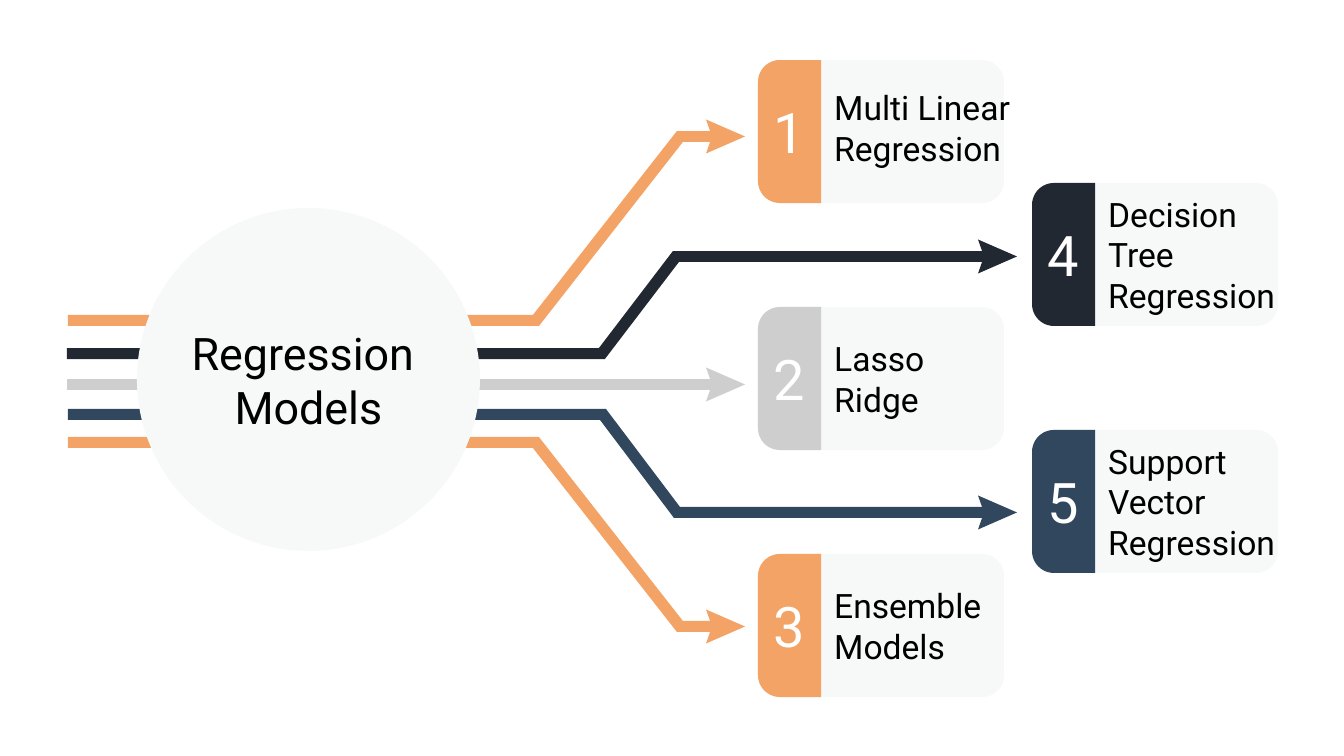
import math
from pptx import Presentation
from pptx import util as u
from pptx.dml.color import RGBColor
from pptx.enum import shapes as s, text as t

SCALE = 914400 / 134.4
HUES = {"pale": "F7F9F9", "orange": "F2A365", "gray": "CECECE",
        "dark": "222831", "navy": "30475E", "black": "000000", "white": "FFFFFF"}
THICK, SKEW = 11, 3
CARD, TAB, ROUND = (246, 143), 63, 22

BANDS = [
    ("gray", 67, 379, 718, None),
    ("orange", 68, 315, 718, (536, 680, 131)),
    ("dark", 67, 348, 990, (602, 676, 251)),
    ("navy", 68, 409, 990, (603, 677, 507)),
    ("orange", 68, 437, 718, (536, 680, 621)),
]
CARDS = [
    ("1", "orange", "Multi Linear Regression", 239, -4),
    ("4", "dark", "Decision Tree Regression", 210, 0),
    ("2", "gray", "Lasso\vRidge", 210, 0),
    ("5", "navy", "Support Vector Regression", 210, 0),
    ("3", "orange", "Ensemble Models", 195, 0),
]


def px(n):
    return u.Emu(round(n * SCALE))


def tint(name):
    return RGBColor.from_string(HUES[name])


def paint(shape, hue):
    shape.shadow.inherit = False
    shape.fill.solid()
    shape.fill.fore_color.rgb = tint(hue)
    shape.line.fill.background()
    return shape


def outline(slide, points, hue):
    spots = [(px(x), px(y)) for x, y in points]
    pen = slide.shapes.build_freeform(*spots[0], scale=1.0)
    pen.add_line_segments(spots[1:], close=True)
    return paint(pen.convert_to_shape(), hue)


def write(shape, lines, size, hue, align, wrap=True):
    frame = shape.text_frame
    inset = u.Inches(0.1)
    look = {"word_wrap": wrap, "vertical_anchor": t.MSO_ANCHOR.MIDDLE,
            "margin_left": inset, "margin_right": inset,
            "margin_top": inset, "margin_bottom": inset}
    for key, val in look.items():
        setattr(frame, key, val)
    frame.text = "\n".join(lines)
    for para in frame.paragraphs:
        para.alignment = align
        for run in para.runs:
            for key, val in {"name": "Roboto", "size": u.Pt(size)}.items():
                setattr(run.font, key, val)
            run.font.color.rgb = tint(hue)


def add_band(slide, hue, left, top, end, bend):
    upper, lower, level = [(left, top)], [(left, top + THICK)], top
    if bend:
        near, far, level = bend
        lean = SKEW if level < top else -SKEW
        for x, y in ((near, top), (far, level)):
            upper.append((x - lean, y))
            lower.append((x + lean, y + THICK))
    upper.append((end, level))
    lower.append((end, level + THICK))
    outline(slide, upper + lower[::-1], hue)
    tail, mid = end - 12, level + THICK / 2
    head = [(tail, mid - 17), (tail + 6, mid), (tail, mid + 17), (tail + 39, mid)]
    outline(slide, head, hue)


def add_hub(slide, left, top, size):
    hub = slide.shapes.add_shape(s.MSO_SHAPE.OVAL, px(left), px(top), px(size), px(size))
    paint(hub, "pale")
    write(hub, ["Regression ", "Models"], 24, "black", t.PP_ALIGN.CENTER, False)


def arc(x, y, start):
    turns = [math.radians(start + 90 * i / 12) for i in range(13)]
    return [(x + ROUND * math.cos(a), y + ROUND * math.sin(a)) for a in turns]


def add_card(slide, left, top, num, hue, label, width, shift):
    wide, high = CARD
    base = slide.shapes.add_shape(s.MSO_SHAPE.ROUNDED_RECTANGLE,
                                  px(left), px(top), px(wide), px(high))
    base.adjustments[0] = ROUND / high
    paint(base, "pale")
    edge = arc(left + ROUND, top + high - ROUND, 90) + arc(left + ROUND, top + ROUND, 180)
    edge += [(left + TAB, top), (left + TAB, top + high)]
    write(outline(slide, edge, hue), [num], 30, "white", t.PP_ALIGN.CENTER)
    box = slide.shapes.add_textbox(px(left + TAB), px(top + shift), px(width), px(high))
    write(box, [label], 18, "black", t.PP_ALIGN.LEFT)


def main():
    deck = Presentation()
    deck.slide_width, deck.slide_height = px(1344), px(756)
    slide = deck.slides.add_slide(deck.slide_layouts[6])
    for band in BANDS:
        add_band(slide, *band)
    add_hub(slide, 137, 208, 343)
    for i, card in enumerate(CARDS):
        add_card(slide, 758 + 274 * (i % 2), 60 + round(123.4 * i), *card)
    deck.save("out.pptx")


if __name__ == "__main__":
    main()
